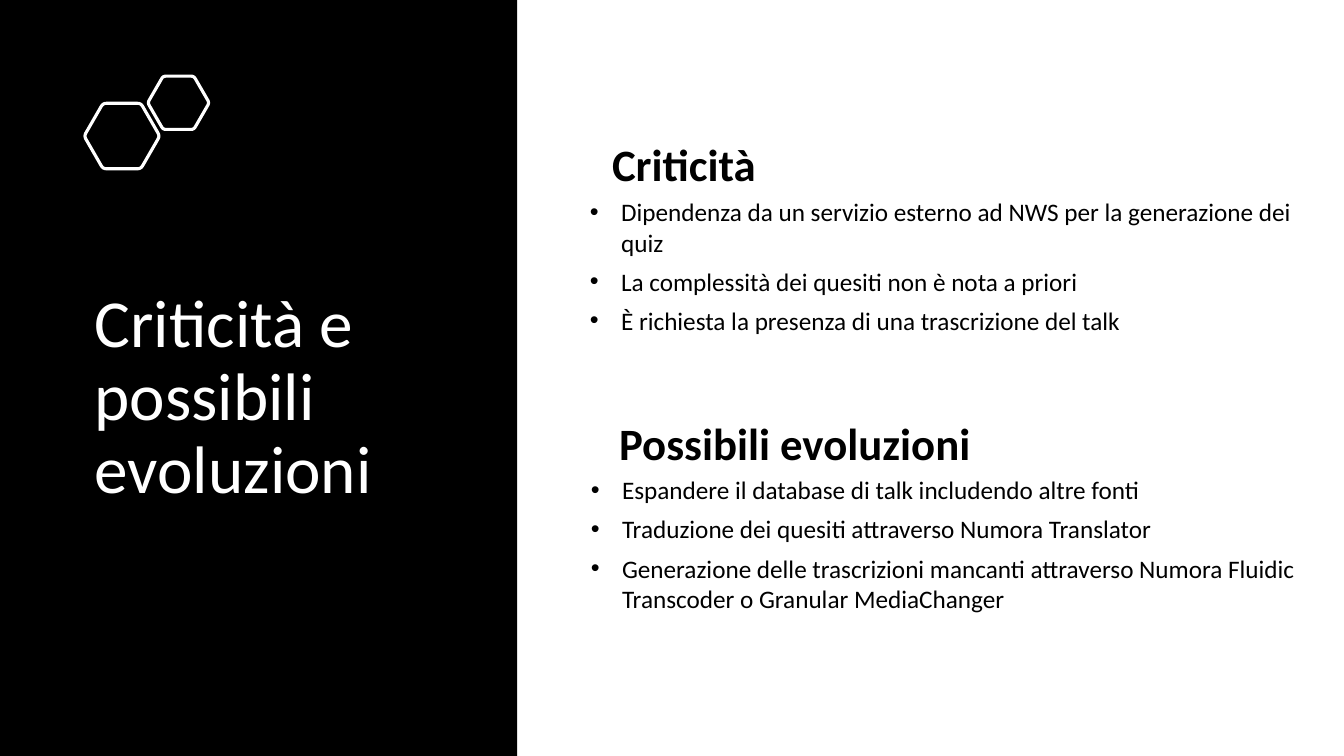
from dataclasses import dataclass
from math import cos, pi, sin

from lxml.etree import SubElement
from pptx import Presentation
from pptx.dml.color import RGBColor
from pptx.enum.shapes import MSO_SHAPE
from pptx.enum.text import MSO_ANCHOR
from pptx.oxml.ns import qn
from pptx.util import Inches, Pt


@dataclass(frozen=True)
class Theme:
    """Colours, font and type sizes of the slide."""
    dark: RGBColor = RGBColor(0, 0, 0)
    light: RGBColor = RGBColor(255, 255, 255)
    font: str = "Calibri"
    title: float = 48
    heading: float = 32
    body: float = 18
    outline: float = 2.25


@dataclass(frozen=True)
class Box:
    """A rectangle in inches."""
    left: float
    top: float
    width: float
    height: float

    def lengths(self):
        """Return the four sides as slide lengths."""
        return [Inches(side) for side in (self.left, self.top, self.width, self.height)]


THEME = Theme()
HEXAGONS = [(0.37, 0.6, 0.375), (0.93, 0.27, 0.305)]
SECTIONS = [
    (Box(5.85, 1.36, 7.11, 2.01), 0.22, "Criticità", [
        "Dipendenza da un servizio esterno ad NWS per la generazione dei quiz",
        "La complessità dei quesiti non è nota a priori",
        "È richiesta la presenza di una trascrizione del talk",
    ]),
    (Box(5.86, 4.12, 7.1, 2.02), 0.28, "Possibili evoluzioni", [
        "Espandere il database di talk includendo altre fonti",
        "Traduzione dei quesiti attraverso Numora Translator",
        "Generazione delle trascrizioni mancanti attraverso Numora Fluidic "
        "Transcoder o Granular MediaChanger",
    ]),
]


def apply_format(target, values):
    """Set every attribute named in the format values."""
    for name, value in values.items():
        setattr(target, name, value)


def add_text(page, box, lines, size, color, bold=False, frame_format=None, para_format=None):
    """Add a wrapped text box with one paragraph per line and return its paragraphs."""
    frame = page.shapes.add_textbox(*box.lengths()).text_frame
    margins = dict.fromkeys(("margin_left", "margin_top", "margin_right", "margin_bottom"), 0)
    apply_format(frame, {"word_wrap": True, **margins, **(frame_format or {})})
    for index, line in enumerate(lines):
        para = frame.add_paragraph() if index else frame.paragraphs[0]
        apply_format(para, para_format or {})
        span = para.add_run()
        span.text = line
        apply_format(span.font, {"name": THEME.font, "size": Pt(size), "bold": bold})
        span.font.color.rgb = color
    return frame.paragraphs


def add_bullet(para, indent):
    """Give a paragraph a hanging round bullet."""
    properties = para._p.get_or_add_pPr()
    properties.set("marL", str(Inches(indent)))
    properties.set("indent", str(-Inches(indent)))
    SubElement(properties, qn("a:buFont"), typeface="Arial")
    SubElement(properties, qn("a:buChar"), char="•")


def rounded_hexagon(center_x, center_y, radius, cut=0.09, steps=4):
    """Return the points of a hexagon whose corners are rounded."""
    corners = [(center_x + radius * cos(k * pi / 3), center_y + radius * sin(k * pi / 3))
               for k in range(6)]
    points = []
    for k, corner in enumerate(corners):
        before, after = corners[k - 1], corners[(k + 1) % 6]
        for step in range(steps + 1):
            t = step / steps
            points.append(tuple(
                Inches(c + cut * ((1 - t) ** 2 * (b - c) + t ** 2 * (a - c)))
                for b, c, a in zip(before, corner, after)))
    return points


def add_hexagons(page, box):
    """Draw the outlined hexagons from the corner of the box."""
    for x, y, radius in HEXAGONS:
        start, *rest = rounded_hexagon(box.left + x, box.top + y, radius)
        builder = page.shapes.build_freeform(*start)
        builder.add_line_segments(rest, close=True)
        hexagon = builder.convert_to_shape()
        hexagon.shadow.inherit = False
        hexagon.fill.background()
        hexagon.line.color.rgb = THEME.light
        hexagon.line.width = Pt(THEME.outline)


def add_title_panel(page, box):
    """Draw the dark panel with its hexagons and title."""
    panel = page.shapes.add_shape(MSO_SHAPE.RECTANGLE, *box.lengths())
    panel.shadow.inherit = False
    panel.fill.solid()
    panel.fill.fore_color.rgb = THEME.dark
    panel.line.fill.background()
    add_hexagons(page, Box(box.left + 0.84, box.top + 0.75, 1.23, 0.92))
    add_text(page, Box(box.left + 0.84, box.top + 2.8, 3.92, 2.31),
             ["Criticità e possibili evoluzioni"], THEME.title, THEME.light,
             frame_format={"vertical_anchor": MSO_ANCHOR.MIDDLE,
                           "margin_left": Inches(0.1), "margin_right": Inches(0.1)},
             para_format={"line_spacing": 0.9})


def add_section(page, box, heading_shift, heading, points):
    """Place a heading and its bullet list in the box."""
    add_text(page, Box(box.left + heading_shift, box.top, 4.12, 0.47), [heading],
             THEME.heading, THEME.dark, bold=True)
    paras = add_text(page, Box(box.left, box.top + 0.59, box.width, box.height - 0.59), points,
                     THEME.body, THEME.dark, para_format={"space_after": Pt(6.3)})
    for para in paras:
        add_bullet(para, 0.31)


def main():
    """Build the slide and save the deck."""
    deck = Presentation()
    apply_format(deck, {"slide_width": Inches(13.33), "slide_height": Inches(7.5)})
    page = deck.slides.add_slide(deck.slide_layouts[6])
    page.background.fill.solid()
    page.background.fill.fore_color.rgb = THEME.light
    add_title_panel(page, Box(0, 0, 5.13, 7.5))
    for section in SECTIONS:
        add_section(page, *section)
    deck.save("out.pptx")


if __name__ == "__main__":
    main()
